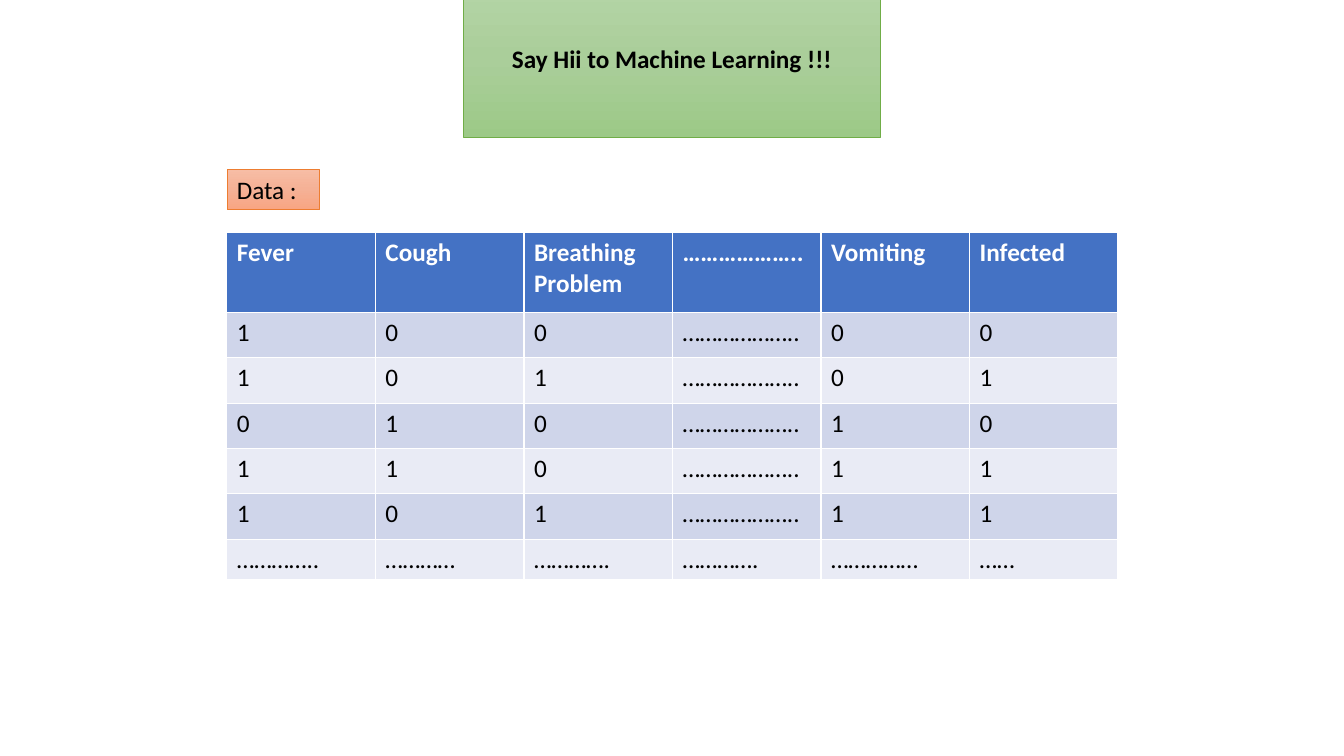
"""Build a slide that shows a symptom table for a machine learning lesson."""
import copy
import pptx
import pptx.util
import pptx.dml.color
import pptx.enum.text
from pptx.util import Inches

TITLE = {"text": "Say Hii to Machine Learning !!!", "at": (4.6, 0.38, 4.13, 0.4),
         "shades": ("B5D5A7", "AACE9A", "9CC987"), "line": "70AD47"}
LABEL = {"text": "Data :", "at": (2.25, 1.68, 0.92, 0.4),
         "shades": ("F7BDA5", "F5B196", "F8A582"), "line": "ED7D31"}
DOTS = "……………….."
ROWS = [
    ("Fever", "Cough", "Breathing Problem", DOTS, "Vomiting", "Infected"),
    ("1", "0", "0", DOTS, "0", "0"),
    ("1", "0", "1", DOTS, "0", "1"),
    ("0", "1", "0", DOTS, "1", "0"),
    ("1", "1", "0", DOTS, "1", "1"),
    ("1", "0", "1", DOTS, "1", "1"),
    ("…………..", "…………", "………….", "………….", "……………", "……"),
]
HEIGHTS = [0.79] + [0.45] * 5 + [0.37]
LEFT, TOP, WIDTH = 2.25, 2.31, 8.84
HEAD, BANDS = "4472C4", ("E9EBF5", "CFD5EA")
ALIGN = pptx.enum.text.PP_ALIGN


def color(code):
    return pptx.dml.color.RGBColor.from_string(code)


def write(frame, text, ink="000000", bold=False, align=ALIGN.LEFT):
    para = frame.paragraphs[0]
    para.alignment = align
    run = para.add_run()
    run.text = text
    run.font.name = "Calibri"
    run.font.size = pptx.util.Pt(18)
    run.font.bold = bold
    run.font.color.rgb = color(ink)


def style(box, data):
    box.left, box.top, box.width, box.height = map(Inches, data["at"])
    box.fill.gradient()
    box.fill.gradient_angle = 270
    first = box._element.spPr.find(".//" + pptx.oxml.ns.qn("a:gs"))
    first.addnext(copy.deepcopy(first))
    for i, (stop, shade) in enumerate(zip(box.fill.gradient_stops, data["shades"])):
        stop.position = i / 2
        stop.color.rgb = color(shade)
    box.line.color.rgb = color(data["line"])
    box.line.width = pptx.util.Pt(0.5)
    frame = box.text_frame
    frame.word_wrap = True
    frame.auto_size = pptx.enum.text.MSO_AUTO_SIZE.SHAPE_TO_FIT_TEXT


def fill_table(slide):
    grid = slide.shapes.add_table(
        len(ROWS), len(ROWS[0]), Inches(LEFT), Inches(TOP),
        Inches(WIDTH), Inches(sum(HEIGHTS))).table
    for r, (row, height) in enumerate(zip(ROWS, HEIGHTS)):
        grid.rows[r].height = Inches(height)
        for c, text in enumerate(row):
            cell = grid.cell(r, c)
            cell.fill.solid()
            cell.fill.fore_color.rgb = color(BANDS[r % 2] if r else HEAD)
            write(cell.text_frame, text, "000000" if r else "FFFFFF", not r)


def main():
    deck = pptx.Presentation()
    deck.slide_width, deck.slide_height = Inches(13.33), Inches(7.5)
    slide = deck.slides.add_slide(deck.slide_layouts[5])
    title = slide.shapes.title
    style(title, TITLE)
    write(title.text_frame, TITLE["text"], bold=True, align=ALIGN.CENTER)
    fill_table(slide)
    label = slide.shapes.add_textbox(*map(Inches, LABEL["at"]))
    style(label, LABEL)
    write(label.text_frame, LABEL["text"])
    deck.save("out.pptx")


if __name__ == "__main__":
    main()
